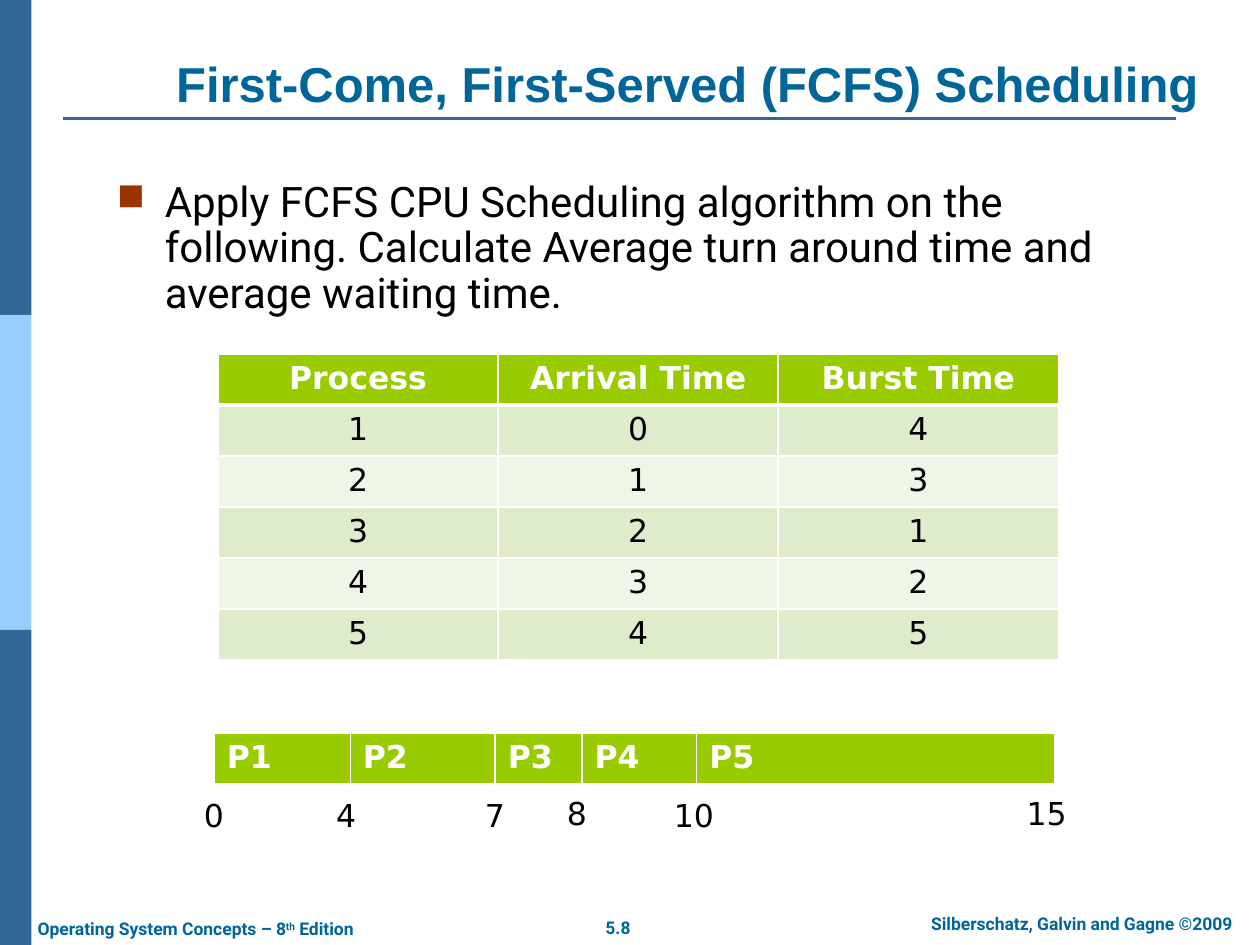
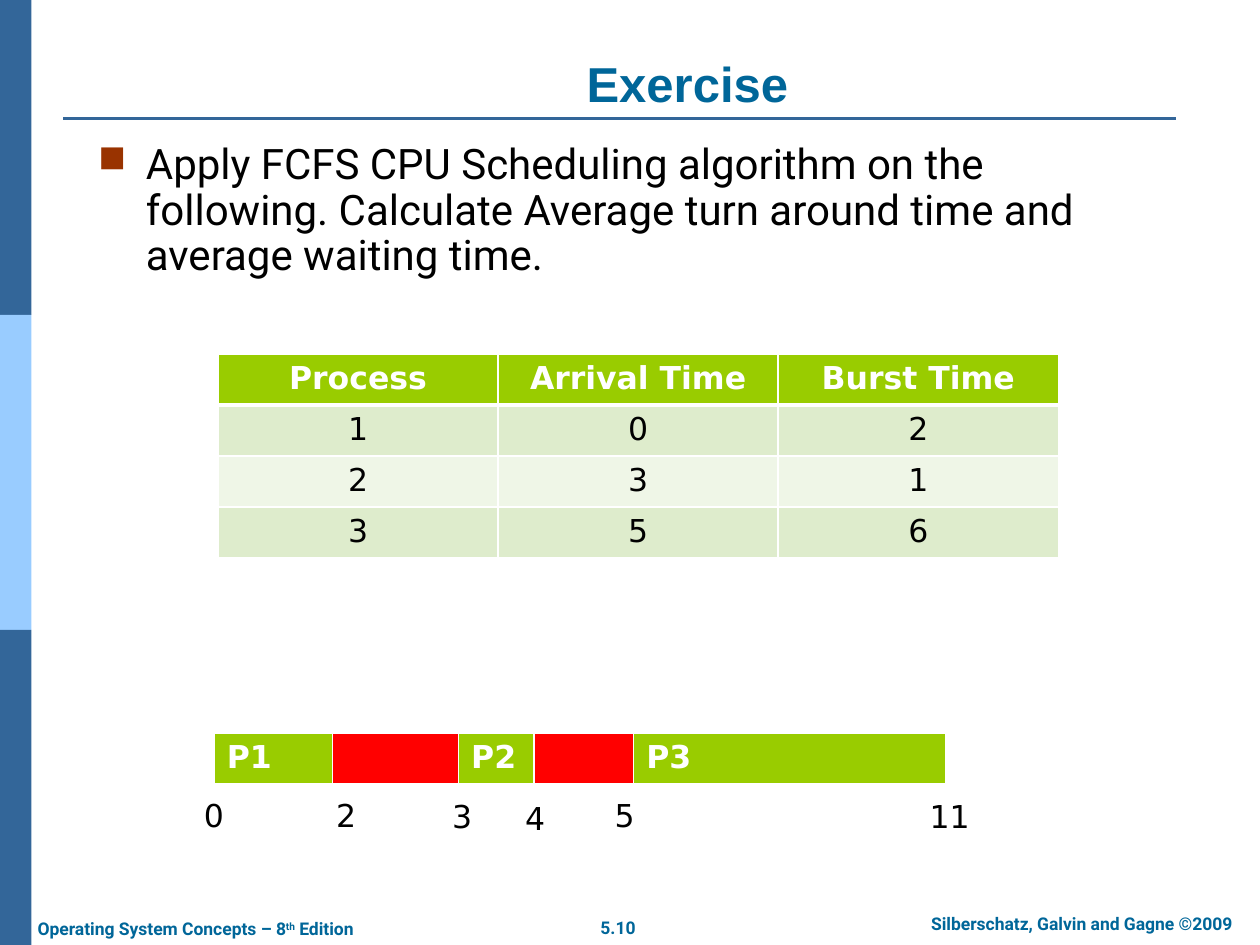
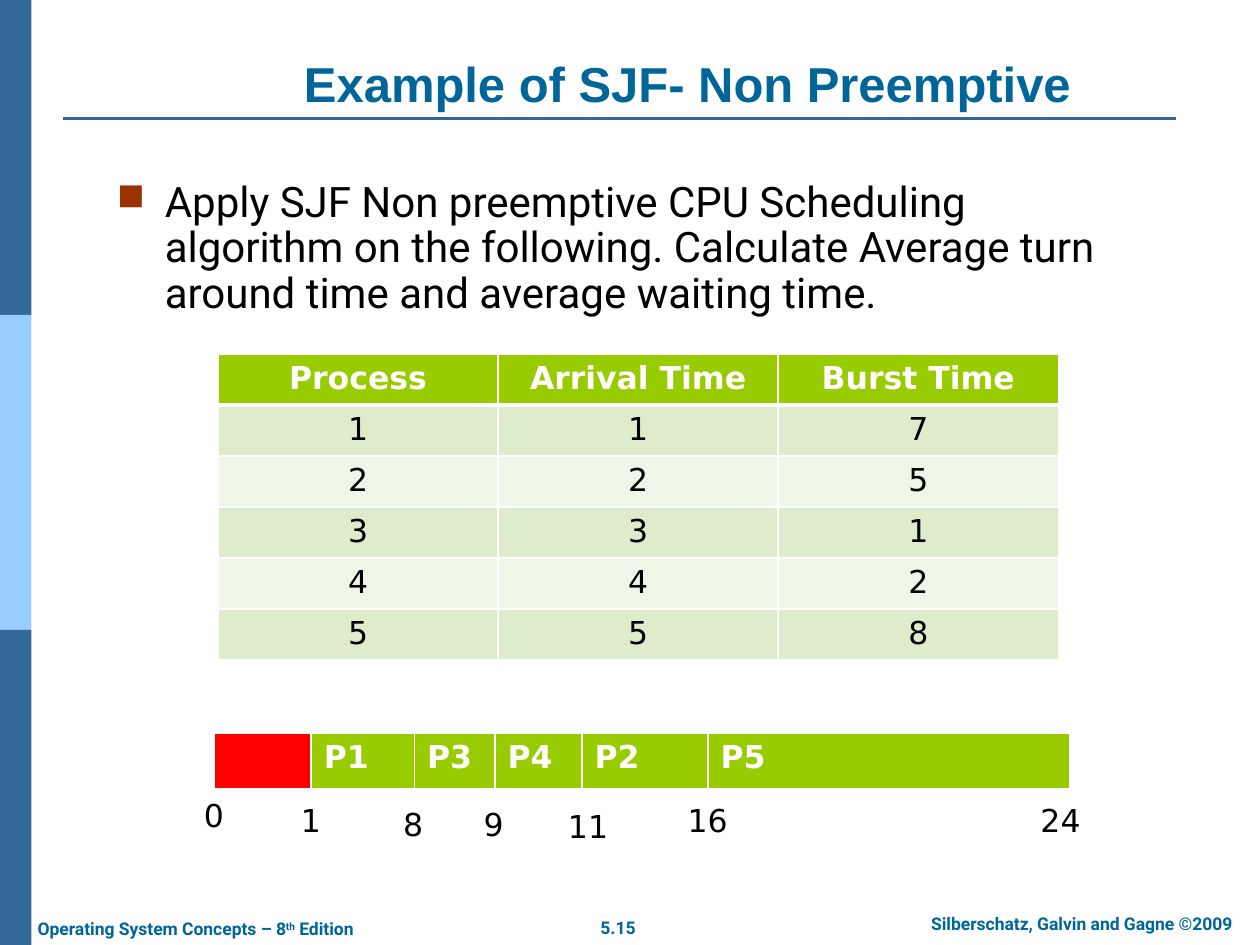
from lxml.etree import SubElement
from pptx import Presentation
from pptx.dml.color import RGBColor
from pptx.enum.shapes import MSO_CONNECTOR, MSO_SHAPE
from pptx.enum.text import MSO_ANCHOR, MSO_AUTO_SIZE, PP_ALIGN
from pptx.oxml.ns import qn
from pptx.util import Inches, Pt

NAVY = RGBColor(0x33, 0x66, 0x99)
SKY = RGBColor(0x99, 0xCC, 0xFF)
TEAL = RGBColor(0x00, 0x66, 0x99)
RUST = RGBColor(0x99, 0x33, 0x00)
GREEN = RGBColor(0x99, 0xCC, 0x00)
GREEN_LIGHT = RGBColor(0xDE, 0xEC, 0xCC)
GREEN_PALE = RGBColor(0xEF, 0xF6, 0xE7)
RED = RGBColor(0xFF, 0x00, 0x00)
WHITE = RGBColor(0xFF, 0xFF, 0xFF)
BLACK = RGBColor(0x00, 0x00, 0x00)

TITLE_FONT, BODY_FONT, DATA_FONT = "Arial", "Roboto", "DejaVu Sans"
HEADINGS = ("Process", "Arrival Time", "Burst Time")
IDLE = ""


def add_run(paragraph, text, size, font, color, bold=False):
    run = paragraph.add_run()
    run.text = text
    run.font.size = Pt(size)
    run.font.name = font
    run.font.color.rgb = color
    run.font.bold = bold
    return run


def add_text_frame(slide, left, top, width, height, wrap=True):
    box = slide.shapes.add_textbox(Inches(left), Inches(top), Inches(width), Inches(height))
    box.text_frame.word_wrap = wrap
    return box.text_frame


def add_side_band(slide):
    for index, color in enumerate((NAVY, SKY, NAVY)):
        band = slide.shapes.add_shape(
            MSO_SHAPE.RECTANGLE, 0, Inches(2.5 * index), Inches(0.25), Inches(2.5))
        band.shadow.inherit = False
        band.fill.solid()
        band.fill.fore_color.rgb = color
        band.line.fill.background()


def add_title_rule(slide):
    rule = slide.shapes.add_connector(
        MSO_CONNECTOR.STRAIGHT, Inches(0.5), Inches(0.94), Inches(9.33), Inches(0.94))
    rule.line.color.rgb = NAVY
    rule.line.width = Pt(1.5)
    SubElement(rule._element.spPr, qn("a:effectLst"))


def add_footer(slide, page):
    def footer_run(paragraph, text):
        return add_run(paragraph, text, 10, BODY_FONT, TEAL, bold=True)

    number = add_text_frame(slide, 4.66, 7.23, 0.49, 0.27, wrap=False).paragraphs[0]
    credit = add_text_frame(slide, 7.1, 7.2, 2.97, 0.27).paragraphs[0]
    for paragraph, text in ((number, page), (credit, "Silberschatz, Galvin and Gagne ©2009")):
        paragraph.alignment = PP_ALIGN.CENTER
        footer_run(paragraph, text)

    book = add_text_frame(slide, 0.2, 7.24, 2.88, 0.27, wrap=False).paragraphs[0]
    footer_run(book, "Operating System Concepts – 8")
    footer_run(book, "th")._r.get_or_add_rPr().set("baseline", "30000")
    footer_run(book, " Edition")


def set_title(slide, text):
    title = slide.shapes.title
    title.left, title.top = Inches(1.08), Inches(0.44)
    title.width, title.height = Inches(8.75), Inches(0.5)
    frame = title.text_frame
    frame.auto_size = MSO_AUTO_SIZE.NONE
    frame.vertical_anchor = MSO_ANCHOR.BOTTOM
    frame.paragraphs[0].alignment = PP_ALIGN.CENTER
    add_run(frame.paragraphs[0], text, 28, TITLE_FONT, TEAL, bold=True)


def add_task(slide, text, left, top):
    """Add the bulleted task statement."""
    paragraph = add_text_frame(slide, left, top, 8.27, 4.63).paragraphs[0]
    paragraph.line_spacing = 0.9
    properties = paragraph._p.get_or_add_pPr()
    properties.set("marL", str(Inches(0.38)))
    properties.set("indent", str(-Inches(0.38)))
    bullet_color = SubElement(properties, qn("a:buClr"))
    SubElement(bullet_color, qn("a:srgbClr"), val=str(RUST))
    SubElement(properties, qn("a:buSzPct"), val="90000")
    SubElement(properties, qn("a:buChar"), char="■")
    add_run(paragraph, text, 24, BODY_FONT, BLACK)


def fill_cell(cell, text, fill, color, bold, align, bottom_width):
    """Write a cell with white borders; bottom_width is in points."""
    properties = cell._tc.get_or_add_tcPr()
    for side, width in (("lnL", 1), ("lnR", 1), ("lnT", 1), ("lnB", bottom_width)):
        border = SubElement(properties, qn(f"a:{side}"), w=str(Pt(width)))
        SubElement(SubElement(border, qn("a:solidFill")), qn("a:srgbClr"), val=str(WHITE))
    cell.fill.solid()
    cell.fill.fore_color.rgb = fill
    if text:
        paragraph = cell.text_frame.paragraphs[0]
        paragraph.alignment = align
        add_run(paragraph, text, 18, DATA_FONT, color, bold)


def add_process_table(slide, processes):
    rows = [HEADINGS, *processes]
    table = slide.shapes.add_table(
        len(rows), len(HEADINGS), Inches(1.73), Inches(2.81),
        Inches(6.67), Inches(0.81 * len(rows) / 2)).table
    for row_index, row in enumerate(rows):
        heading = row_index == 0
        stripe = GREEN_LIGHT if row_index % 2 else GREEN_PALE
        for column, value in enumerate(row):
            fill_cell(table.cell(row_index, column), str(value),
                      GREEN if heading else stripe, WHITE if heading else BLACK,
                      heading, PP_ALIGN.CENTER, 3 if heading else 1)


def add_gantt_bar(slide, slots, height):
    """Add one row of (process, width) slots; idle slots are red."""
    total = sum(width for _, width in slots)
    table = slide.shapes.add_table(
        1, len(slots), Inches(1.7), Inches(5.82), Inches(total), Inches(height)).table
    for column, (process, width) in enumerate(slots):
        table.columns[column].width = Inches(width)
        fill_cell(table.cell(0, column), process, RED if process == IDLE else GREEN,
                  WHITE, True, PP_ALIGN.LEFT, 3)


def add_time_marks(slide, marks):
    for time, left, top in marks:
        frame = add_text_frame(slide, left, top, 0.42 if time < 10 else 0.7, 0.4)
        frame.auto_size = MSO_AUTO_SIZE.SHAPE_TO_FIT_TEXT
        add_run(frame.paragraphs[0], str(time), 18, DATA_FONT, BLACK)


def add_scheduling_slide(deck, page, title, task, processes, slots, marks,
                         task_at=(0.83, 1.39), bar_height=0.41):
    slide = deck.slides.add_slide(deck.slide_layouts[5])
    add_side_band(slide)
    add_title_rule(slide)
    add_footer(slide, page)
    set_title(slide, title)
    add_task(slide, f"Apply {task} CPU Scheduling algorithm on the following. "
             "Calculate Average turn around time and average waiting time.", *task_at)
    add_process_table(slide, processes)
    add_gantt_bar(slide, slots, bar_height)
    add_time_marks(slide, marks)


def main():
    deck = Presentation()
    deck.slide_width, deck.slide_height = Inches(10), Inches(7.5)

    add_scheduling_slide(
        deck, "5.8", "First-Come, First-Served (FCFS) Scheduling", "FCFS",
        processes=[(1, 0, 4), (2, 1, 3), (3, 2, 1), (4, 3, 2), (5, 4, 5)],
        slots=[("P1", 1.08), ("P2", 1.15), ("P3", 0.69), ("P4", 0.91), ("P5", 2.84)],
        marks=[(0, 1.52, 6.27), (4, 2.57, 6.27), (7, 3.75, 6.27),
               (8, 4.4, 6.25), (10, 5.25, 6.27), (15, 8.05, 6.25)])

    add_scheduling_slide(
        deck, "5.10", "Exercise", "FCFS",
        processes=[(1, 0, 2), (2, 3, 1), (3, 5, 6)],
        slots=[("P1", 0.94), (IDLE, 1), ("P2", 0.6), (IDLE, 0.79), ("P3", 2.48)],
        marks=[(0, 1.52, 6.27), (2, 2.57, 6.27), (3, 3.49, 6.28),
               (4, 4.07, 6.29), (5, 4.78, 6.27), (11, 7.28, 6.28)],
        task_at=(0.68, 1.09))

    add_scheduling_slide(
        deck, "5.15", "Example of SJF- Non Preemptive", "SJF Non preemptive",
        processes=[(1, 1, 7), (2, 2, 5), (3, 3, 1), (4, 4, 2), (5, 5, 8)],
        slots=[(IDLE, 0.77), ("P1", 0.82), ("P3", 0.64), ("P4", 0.69),
               ("P2", 1), ("P5", 2.87)],
        marks=[(0, 1.52, 6.27), (1, 2.29, 6.31), (8, 3.1, 6.34), (9, 3.74, 6.34),
               (11, 4.41, 6.36), (16, 5.36, 6.31), (24, 8.16, 6.31)],
        bar_height=0.45)

    deck.save("out.pptx")


if __name__ == "__main__":
    main()
